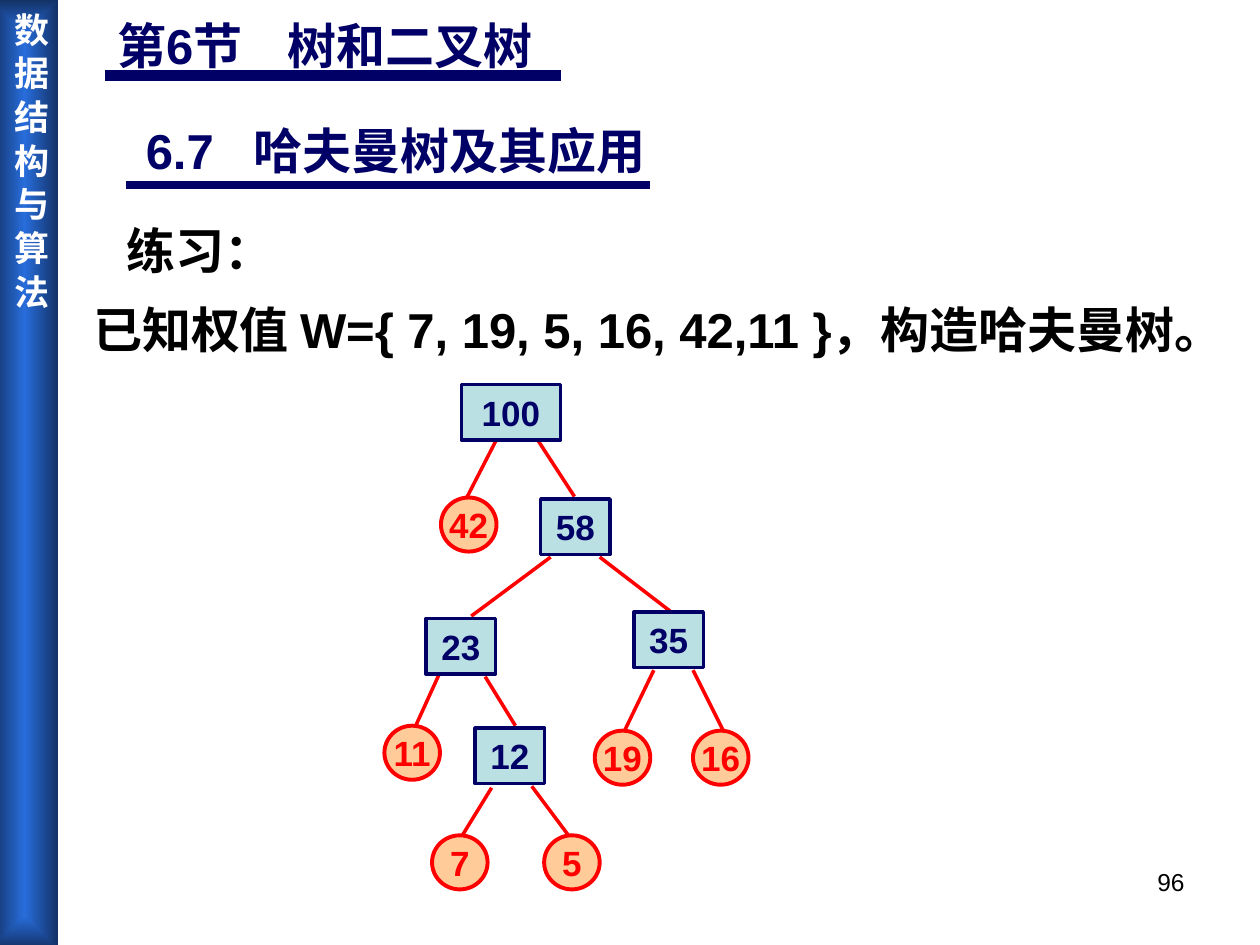
"""Build the slide with the Huffman tree exercise."""
from lxml.etree import SubElement
from pptx import Presentation
from pptx.dml.color import RGBColor
from pptx.enum.shapes import MSO_CONNECTOR as Link, MSO_SHAPE as Form
from pptx.enum.text import MSO_ANCHOR as Anchor, PP_ALIGN as Align
from pptx.oxml.ns import qn
from pptx.util import Cm, Pt

NAVY = RGBColor(0x00, 0x00, 0x66)
BLACK = RGBColor(0x00, 0x00, 0x00)
WHITE = RGBColor(0xFF, 0xFF, 0xFF)
RED = RGBColor(0xFF, 0x00, 0x00)
PEACH = RGBColor(0xFF, 0xCC, 0x99)
PALE_TEAL = RGBColor(0xBB, 0xE0, 0xE3)
BAR_BLUE = RGBColor(0x28, 0x6D, 0xDC)
BAR_DARK = RGBColor(0x13, 0x32, 0x66)
LATIN, CJK = "Arial", "Noto Sans CJK SC"

BRANCHES = [
    ("100", 9.3, 7.75, 2.0),
    ("58", 10.9, 10.06, 1.4),
    ("23", 8.59, 12.47, 1.4),
    ("35", 12.78, 12.34, 1.4),
    ("12", 9.58, 14.68, 1.4),
]
LEAVES = [
    ("42", 8.89, 10.03),
    ("11", 7.75, 14.63),
    ("19", 11.99, 14.73),
    ("16", 13.97, 14.73),
    ("7", 8.71, 16.84),
    ("5", 10.97, 16.84),
]
EDGES = [
    (10.01, 8.86, 9.42, 10.01),
    (10.8, 8.81, 11.58, 10.01),
    (11.1, 11.23, 9.5, 12.42),
    (12.09, 11.23, 13.51, 12.32),
    (8.89, 13.51, 8.38, 14.63),
    (9.78, 13.64, 10.39, 14.63),
    (13.18, 13.51, 12.6, 14.71),
    (13.97, 13.51, 14.58, 14.73),
    (9.91, 15.88, 9.32, 16.84),
    (10.72, 15.85, 11.46, 16.84),
]


def write_text(frame, text, *, size=28, color=BLACK, bold=True, font=LATIN,
               align=Align.LEFT, anchor=Anchor.TOP, wrap=True, tab=None):
    frame.word_wrap = wrap
    frame.vertical_anchor = anchor
    paragraph = frame.paragraphs[0]
    paragraph.alignment = align
    if tab:
        stops = SubElement(paragraph._p.get_or_add_pPr(), qn("a:tabLst"))
        SubElement(stops, qn("a:tab"), pos=str(Cm(tab)), algn="l")
    run = paragraph.add_run()
    run.text = text
    run.font.size = Pt(size)
    run.font.bold = bold
    run.font.color.rgb = color
    run.font.name = font
    SubElement(run._r.get_or_add_rPr(), qn("a:ea"), typeface=CJK)


class LessonSlide:
    def __init__(self, slide):
        self.slide = slide
        self.shapes = slide.shapes

    def title(self, text, box, **style):
        heading = self.shapes.title
        heading.left, heading.top, heading.width, heading.height = map(Cm, box)
        write_text(heading.text_frame, text, **style)

    def label(self, text, box, **style):
        write_text(self.shapes.add_textbox(*map(Cm, box)).text_frame, text, **style)

    def line(self, ends, color, width):
        stroke = self.shapes.add_connector(Link.STRAIGHT, *map(Cm, ends))
        stroke.line.color.rgb = color
        stroke.line.width = Pt(width)
        SubElement(stroke._element.spPr, qn("a:effectLst"))

    def node(self, text, form, box, fill, ink, width, wrap):
        node = self.shapes.add_shape(form, *map(Cm, box))
        node.shadow.inherit = False
        node.fill.solid()
        node.fill.fore_color.rgb = fill
        node.line.color.rgb = ink
        node.line.width = Pt(width)
        write_text(node.text_frame, text, size=20, color=ink, wrap=wrap,
                   align=Align.CENTER, anchor=Anchor.MIDDLE)

    def branch(self, text, left, top, width):
        self.node(text, Form.RECTANGLE, (left, top, width, 1.12),
                  PALE_TEAL, NAVY, 2, True)

    def leaf(self, text, left, top):
        self.node(text, Form.OVAL, (left, top, 1.12, 1.09),
                  PEACH, RED, 2.25, False)

    def sidebar(self, text, box):
        bar = self.shapes.add_shape(Form.RECTANGLE, *map(Cm, box))
        bar.shadow.inherit = False
        bar.line.fill.background()
        bar.fill.gradient()
        for stop, color in zip(bar.fill.gradient_stops, (BAR_BLUE, BAR_DARK)):
            stop.color.rgb = color
        gradient = bar._element.spPr.find(qn("a:gradFill"))
        gradient.remove(gradient.find(qn("a:lin")))
        center = SubElement(gradient, qn("a:path"), {"path": "rect"})
        SubElement(center, qn("a:fillToRect"),
                   dict.fromkeys(("l", "t", "r", "b"), "50000"))
        frame = bar.text_frame
        frame.margin_left = frame.margin_right = Cm(0.13)
        frame.margin_top = frame.margin_bottom = Cm(0.25)
        write_text(frame, text, size=20, color=WHITE, font=CJK, align=Align.CENTER)
        frame._txBody.bodyPr.set("vert", "eaVert")


def main():
    deck = Presentation()
    deck.slide_width, deck.slide_height = Cm(25.4), Cm(19.05)
    lesson = LessonSlide(deck.slides.add_slide(deck.slide_layouts[5]))

    lesson.sidebar("数 据 结 构 与 算 法", (-0.18, 0, 1.35, 19.13))
    lesson.line((2.11, 1.52, 11.3, 1.52), NAVY, 6)
    lesson.title("第6节\t树和二叉树", (2.11, 0.18, 9.4, 2.64), color=NAVY, tab=3.43)
    lesson.label("6.7\t哈夫曼树及其应用", (2.69, 2.31, 10.59, 1.45),
                 color=NAVY, tab=2.18)
    lesson.line((2.54, 3.73, 13.11, 3.73), NAVY, 4.25)
    lesson.label("练习：", (2.31, 4.32, 3.45, 1.45), wrap=False)
    lesson.label("已知权值 W={ 7, 19, 5, 16, 42,11 }，构造哈夫曼树。",
                 (1.63, 5.92, 24.08, 1.45), wrap=False)

    for ends in EDGES:
        lesson.line(ends, RED, 2)
    for branch in BRANCHES:
        lesson.branch(*branch)
    for leaf in LEAVES:
        lesson.leaf(*leaf)
    lesson.label("96", (18.21, 17.35, 5.92, 1.32), size=14, bold=False,
                 align=Align.RIGHT)
    deck.save("out.pptx")


if __name__ == "__main__":
    main()
